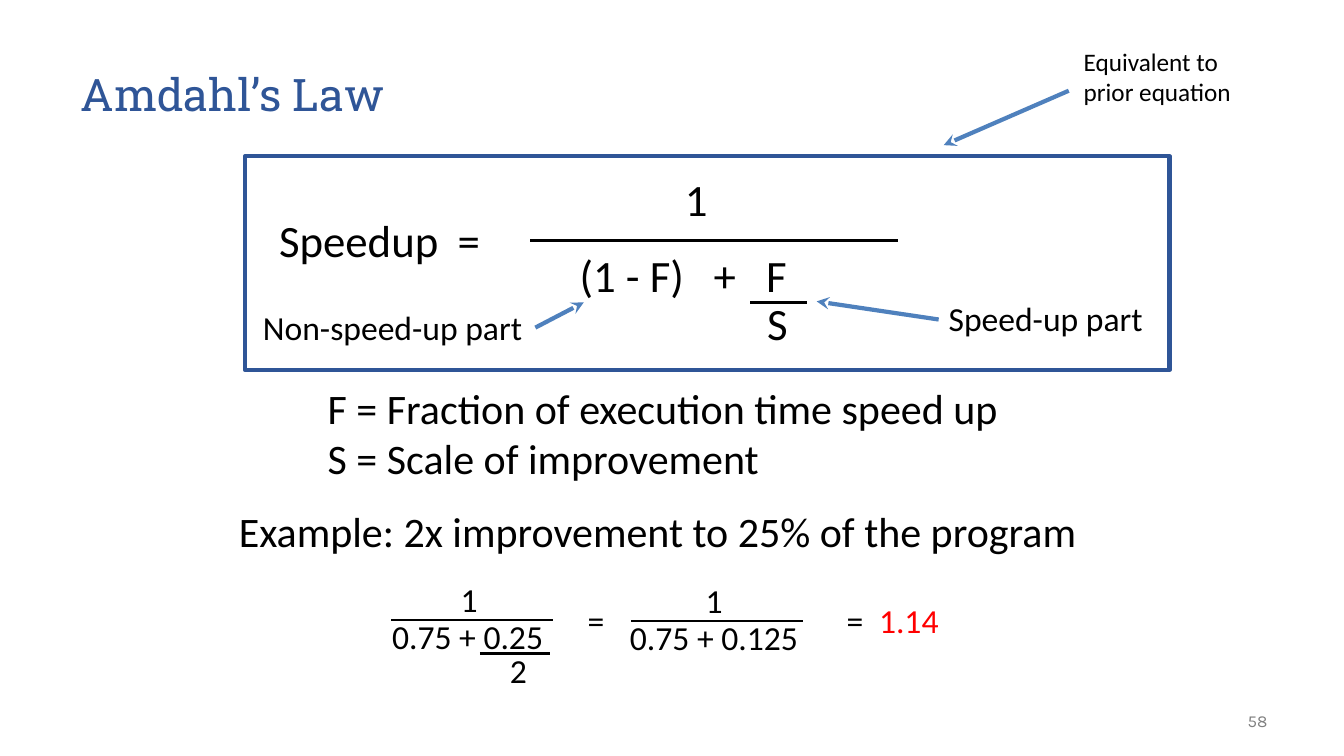
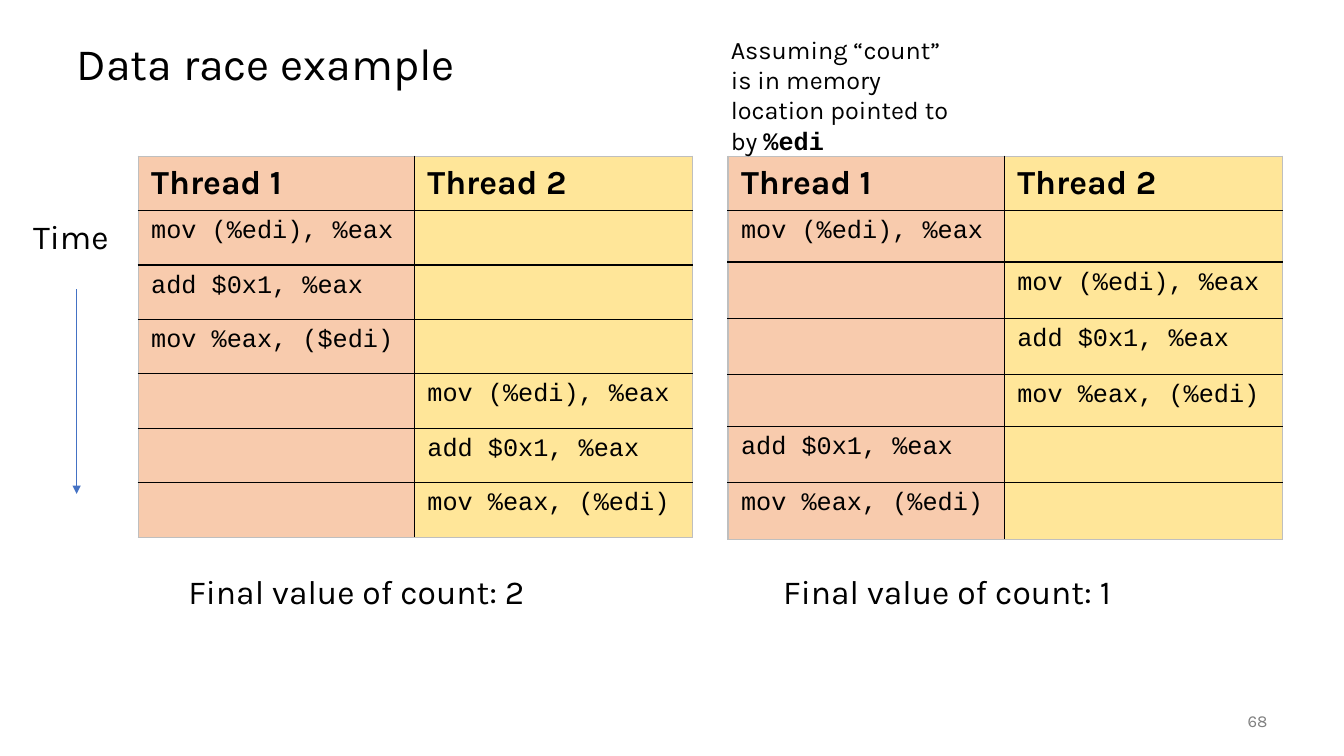
from dataclasses import dataclass

from lxml import etree
from pptx import Presentation
from pptx.dml.color import RGBColor
from pptx.enum.shapes import MSO_CONNECTOR, MSO_SHAPE
from pptx.enum.text import MSO_ANCHOR, MSO_AUTO_SIZE, PP_ALIGN
from pptx.oxml.ns import qn
from pptx.util import Inches, Pt

LEFT, MID, RIGHT = PP_ALIGN.LEFT, PP_ALIGN.CENTER, PP_ALIGN.RIGHT
TOP, CENTER = MSO_ANCHOR.TOP, MSO_ANCHOR.MIDDLE
FIXED = MSO_AUTO_SIZE.NONE
LINE = MSO_CONNECTOR.STRAIGHT
RECT = MSO_SHAPE.RECTANGLE


@dataclass(frozen=True)
class Theme:
    # Colours
    ink: str = "000000"
    navy: str = "2F5597"
    steel: str = "4F81BD"
    blue: str = "4472C4"
    red: str = "FF0000"
    gray: str = "808080"
    edge: str = "BFBFBF"
    peach: str = "F8CBAD"
    cream: str = "FFE699"
    # Fonts
    sans: str = "Calibri"
    slab: str = "Roboto Slab"
    karla: str = "Karla"
    mono: str = "Courier New"
    # Type sizes
    head: int = 32
    lead: int = 30
    text: int = 24
    note: int = 18
    foot: int = 12


T = Theme()


class Deck:
    """Holds the style and the current slide."""

    def __init__(self):
        self.prs = Presentation()
        self.prs.slide_width = Inches(13.33)
        self.prs.slide_height = Inches(7.5)
        self.slide = None

    def page(self, layout, title, number, box, face, color):
        """Start a slide with its title and page number."""
        self.slide = self.prs.slides.add_slide(self.prs.slide_layouts[layout])
        head = self.slide.shapes.title
        self.place(head, box, CENTER)
        self.put(head.text_frame.paragraphs[0], title, T.head, face, color)
        self.label(number, (9.67, 6.95, 3, 0.4), T.foot, T.karla, T.gray,
                   RIGHT, CENTER)

    def place(self, shape, box, anchor=TOP):
        shape.left, shape.top, shape.width, shape.height = map(Inches, box)
        frame = shape.text_frame
        frame.word_wrap = True
        frame.auto_size = FIXED
        frame.vertical_anchor = anchor

    def style(self, font, size, face, color, bold=False):
        font.size, font.name, font.bold = Pt(size), face, bold
        font.color.rgb = RGBColor.from_string(color)

    def put(self, para, text, size, face, color, align=LEFT, bold=False):
        para.add_run().text = text
        para.alignment = align
        self.style(para.font, size, face, color, bold)

    def label(self, text, box, size=T.text, face=T.sans, color=T.ink,
              align=LEFT, anchor=TOP):
        shape = self.slide.shapes.add_textbox(*map(Inches, box))
        self.place(shape, box, anchor)
        para = shape.text_frame.paragraphs[0]
        self.put(para, text, size, face, color, align)
        return para

    def body(self, lines, box, size):
        """Fill the body placeholder with plain lines."""
        shape = self.slide.placeholders[1]
        self.place(shape, box)
        frame = shape.text_frame
        for i, text in enumerate(lines):
            para = frame.add_paragraph() if i else frame.paragraphs[0]
            props = para._p.get_or_add_pPr()
            props.set("marL", "0")
            props.set("indent", "0")
            etree.SubElement(props, qn("a:buNone"))
            para.space_before = Pt(0)
            self.put(para, text, size, T.sans, T.ink)

    def line(self, start, end, color=T.ink, width=2, tip=None):
        link = self.slide.shapes.add_connector(
            LINE, *map(Inches, (*start, *end)))
        link.line.width = Pt(width)
        link.line.color.rgb = RGBColor.from_string(color)
        props = link._element.spPr
        if tip:
            etree.SubElement(props.find(qn("a:ln")), qn("a:tailEnd"), type=tip)
        etree.SubElement(props, qn("a:effectLst"))

    def frame(self, box, color, width):
        shape = self.slide.shapes.add_shape(RECT, *map(Inches, box))
        shape.shadow.inherit = False
        shape.fill.background()
        shape.line.color.rgb = RGBColor.from_string(color)
        shape.line.width = Pt(width)

    def border(self, cell, outer):
        """Draw grey lines on outer sides and black lines within."""
        props = cell._tc.get_or_add_tcPr()
        for i, (side, out) in enumerate(outer.items()):
            line = etree.Element(qn("a:" + side), w=str(Pt(1)))
            fill = etree.SubElement(line, qn("a:solidFill"))
            etree.SubElement(fill, qn("a:srgbClr"),
                             val=T.edge if out else T.ink)
            props.insert(i, line)

    def trace(self, left, steps, heights):
        """Table of two threads; each step names its thread and code."""
        widths, fills = (2.74, 2.76), (T.peach, T.cream)
        rows = [("Thread 1", "Thread 2")]
        rows += [(code, "") if who == 1 else ("", code) for who, code in steps]
        grid = self.slide.shapes.add_table(
            len(rows), 2, Inches(left), Inches(1.55),
            Inches(sum(widths)), Inches(sum(heights))).table
        grid.horz_banding = grid.first_row = False
        for c, width in enumerate(widths):
            grid.columns[c].width = Inches(width)
        for r, row in enumerate(rows):
            grid.rows[r].height = Inches(heights[r])
            for c, text in enumerate(row):
                cell = grid.cell(r, c)
                cell.margin_left = cell.margin_right = Inches(0.13)
                cell.margin_top = cell.margin_bottom = Inches(0.07)
                cell.fill.solid()
                cell.fill.fore_color.rgb = RGBColor.from_string(fills[c])
                self.border(cell, {"lnL": c == 0, "lnR": c == 1, "lnT": r == 0,
                                   "lnB": r == len(rows) - 1})
                if text:
                    look = (T.note, T.mono) if r else (T.text, T.karla)
                    self.put(cell.text_frame.paragraphs[0], text, *look,
                             T.ink, bold=r == 0)


def law(deck):
    deck.page(1, "Amdahl’s Law", "58", (0.7, 0.3, 12, 1.25), T.slab, T.navy)

    # Formula
    deck.frame((2.43, 1.55, 9.17, 2.12), T.navy, 3)
    for text, left, top, width in (
            ("Speedup", 2.67, 2.06, 1.8), ("=", 4.44, 2.06, 0.5),
            ("(1 - F)", 5.65, 2.41, 1.3), ("+", 6.98, 2.41, 0.5),
            ("F", 7.5, 2.41, 0.5), ("S", 7.51, 2.88, 0.5)):
        deck.label(text, (left, top, width, 0.64), T.head)
    deck.label("1", (5.71, 1.65, 2.39, 0.64), T.head, align=MID)
    deck.line((5.26, 2.39), (8.91, 2.39))
    deck.line((7.44, 3), (8, 3))

    # Callouts
    deck.label("Non-speed-up part", (2.51, 3, 2.9, 0.5))
    deck.label("Speed-up part", (9.31, 2.91, 2.25, 0.5))
    deck.label("Equivalent to prior equation", (10.65, 0.41, 1.89, 0.7), T.note)
    for start, end in (((5.31, 3.25), (5.79, 3)), ((9.31, 3.17), (8.1, 2.99)),
                       ((10.6, 0.9), (9.36, 1.44))):
        deck.line(start, end, T.steel, 3, "stealth")

    # Terms
    deck.body(("F = Fraction of execution time speed up",
               "S = Scale of improvement"), (3.15, 3.74, 8, 1.15), T.lead)

    # Worked example
    deck.label("Example: 2x improvement to 25% of the program",
               (2.27, 4.97, 8.9, 0.7), T.lead)
    for text, left, top, width in (
            ("1", 4.47, 5.69, 0.4), ("0.75 + 0.25", 3.79, 6.06, 1.9),
            ("2", 4.96, 6.4, 0.4), ("=", 5.73, 5.9, 0.4),
            ("1", 6.9, 5.7, 0.4), ("0.75 + 0.125", 6.15, 6.07, 2.1),
            ("=", 8.3, 5.9, 0.4)):
        deck.label(text, (left, top, width, 0.5))
    deck.label("1.14", (8.62, 5.9, 0.9, 0.5), color=T.red)
    for left, right, top in ((3.88, 5.48, 6.15), (4.76, 5.45, 6.48),
                             (6.26, 7.96, 6.16)):
        deck.line((left, top), (right, top))


def race(deck):
    deck.page(5, "Data race example", "68", (0.66, 0.25, 6.3, 0.75),
              T.karla, T.ink)

    # Thread tables
    load, add, save = "mov (%edi), %eax", "add $0x1, %eax", "mov %eax, (%edi)"
    deck.trace(1.37, ((1, load), (1, add), (1, "mov %eax, ($edi)"),
                      (2, load), (2, add), (2, save)), [0.54] * 7)
    deck.trace(7.22, ((1, load), (2, load), (2, add), (2, save),
                      (1, add), (1, save)),
               [0.54, 0.51, 0.56, 0.56, 0.51, 0.56, 0.56])

    # Time axis
    deck.label("Time", (0.23, 2.09, 1.09, 0.5), face=T.karla)
    deck.line((0.76, 2.87), (0.76, 4.9), T.blue, 1, "triangle")

    # Results and note
    for left, count in ((1.77, 2), (7.67, 1)):
        deck.label(f"Final value of count: {count}", (left, 5.61, 4.6, 0.5),
                   face=T.karla)
    note = deck.label("Assuming “count” is in memory location pointed to by ",
                      (7.15, 0.29, 2.44, 1.25), T.note, T.karla)
    code = note.add_run()
    code.text = "%edi"
    deck.style(code.font, T.note, T.mono, T.ink, True)


def main():
    deck = Deck()
    law(deck)
    race(deck)
    deck.prs.save("out.pptx")


if __name__ == "__main__":
    main()
